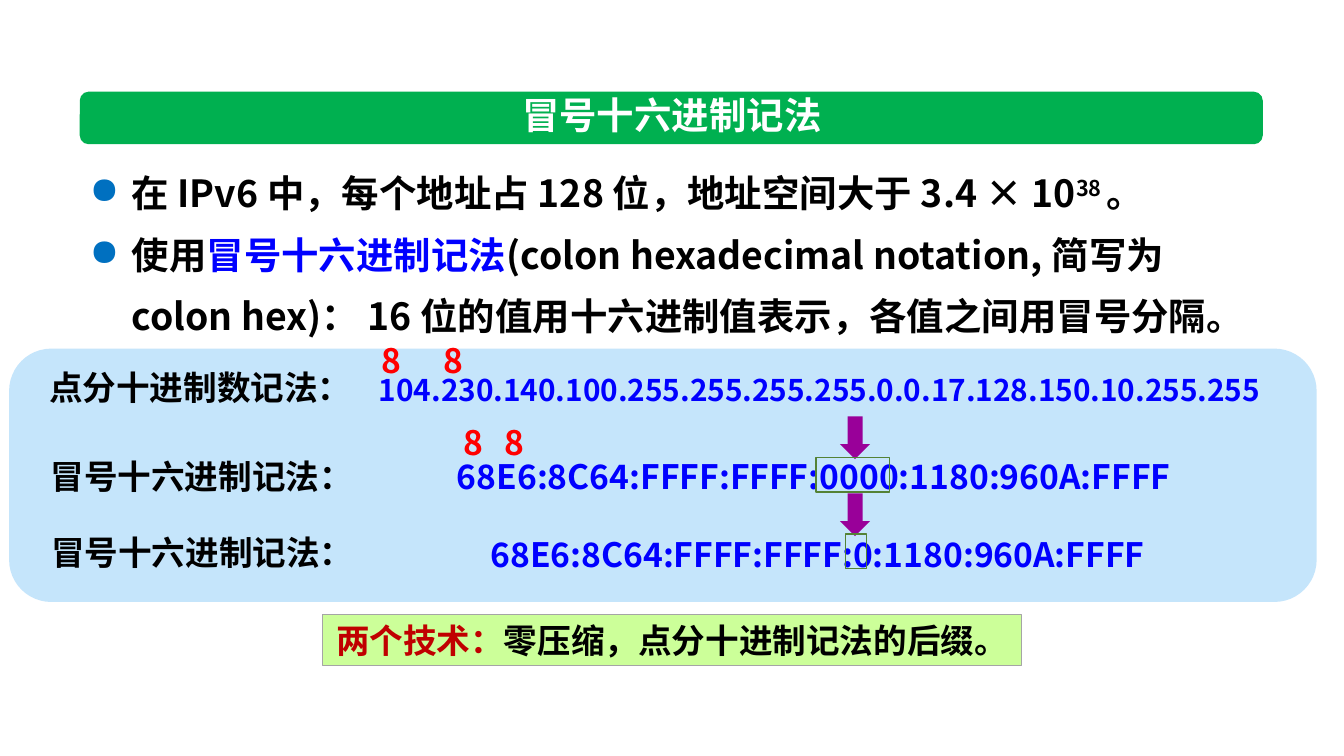
from lxml import etree
from pptx import Presentation
from pptx.dml.color import RGBColor
from pptx.enum.shapes import MSO_SHAPE
from pptx.enum.text import MSO_ANCHOR, PP_ALIGN
from pptx.oxml.ns import qn
from pptx.util import Pt

LEFT, CENTER = PP_ALIGN.LEFT, PP_ALIGN.CENTER
MIDDLE = MSO_ANCHOR.MIDDLE
ROUNDED, RECTANGLE = MSO_SHAPE.ROUNDED_RECTANGLE, MSO_SHAPE.RECTANGLE
DOWN_ARROW = MSO_SHAPE.DOWN_ARROW
FONT = "Noto Sans CJK SC"
COLORS = {
    "black": "000000", "white": "FFFFFF", "blue": "0000FF", "red": "FF0000",
    "dark red": "C00000", "bullet": "0070C0", "bar": "00B050", "panel": "C5E5FB",
    "arrow": "990099", "frame": "548235", "note": "CCFF99", "note edge": "A5A5A5",
}


def add_shape(kind, place, fill=None, line=None, width=1):
    shape = page.shapes.add_shape(kind, *map(Pt, place))
    shape.shadow.inherit = False
    if fill:
        shape.fill.solid()
        shape.fill.fore_color.rgb = RGBColor.from_string(COLORS[fill])
    else:
        shape.fill.background()
    if line:
        shape.line.color.rgb = RGBColor.from_string(COLORS[line])
        shape.line.width = Pt(width)
    else:
        shape.line.fill.background()
    return shape


def write(para, parts, size, align=LEFT):
    para.alignment = align
    for words, color in parts:
        span = para.add_run()
        span.text = words
        span.font.size = Pt(size)
        span.font.bold = True
        span.font.name = FONT
        span.font.color.rgb = RGBColor.from_string(COLORS[color])
        etree.SubElement(span.font._element, qn("a:ea"), typeface=FONT)


deck = Presentation()
deck.slide_width, deck.slide_height = Pt(960), Pt(540)
page = deck.slides.add_slide(deck.slide_layouts[5])

# Panel behind the three notations
add_shape(ROUNDED, (6.5, 249, 934, 181), "panel")

# Title on its green bar
bar = add_shape(ROUNDED, (57, 65.5, 845, 37.5), "bar")
title = page.shapes.title
title.left, title.top, title.width, title.height = map(Pt, (204, 62, 552, 39.5))
title.text_frame.vertical_anchor = MIDDLE
write(title.text_frame.paragraphs[0], [("冒号十六进制记法", "white")], 26.7, CENTER)
bar._element.addnext(title._element)

# Bulleted explanation
points = [
    [("在 IPv6 中，每个地址占 128 位，地址空间大于 3.4 × 10", "black"),
     ("38 ", "black"), ("。", "black")],
    [("使用", "black"), ("冒号十六进制记法", "blue"),
     ("(colon hexadecimal notation, 简写为 colon hex)： "
      "16 位的值用十六进制值表示，各值之间用冒号分隔。", "black")],
]
body = page.shapes.add_textbox(*map(Pt, (57, 106, 845, 136))).text_frame
body.word_wrap = True
for number, parts in enumerate(points):
    para = body.add_paragraph() if number else body.paragraphs[0]
    para.line_spacing = Pt(44)
    settings = para._p.get_or_add_pPr()
    settings.set("marL", str(Pt(30)))
    settings.set("indent", str(-Pt(30)))
    bullet_color = etree.SubElement(settings, qn("a:buClr"))
    etree.SubElement(bullet_color, qn("a:srgbClr"), val=COLORS["bullet"])
    etree.SubElement(settings, qn("a:buChar"), char="●")
    write(para, parts, 26.7)
exponent = body.paragraphs[0].runs[1]
exponent.font._element.set("baseline", "30000")

# Notation labels, addresses and digit counts: words, place, size, colour, align, wrap
texts = [
    ("点分十进制数记法：", (28, 258.5, 232.5, 36), 24, "black", LEFT, False),
    ("冒号十六进制记法：", (29, 322, 232.5, 36), 24, "black", LEFT, False),
    ("冒号十六进制记法：", (29.5, 376.5, 232.5, 36), 24, "black", LEFT, False),
    ("104.230.140.100.255.255.255.255.0.0.17.128.150.10.255.255",
     (238.5, 262, 694, 33), 21.3, "blue", CENTER, True),
    ("68E6:8C64:FFFF:FFFF:0000:1180:960A:FFFF",
     (306.5, 322, 549.5, 36), 24, "blue", CENTER, True),
    ("68E6:8C64:FFFF:FFFF:0:1180:960A:FFFF",
     (335, 378, 498, 36), 24, "blue", CENTER, True),
]
for left, top in [(265.5, 239), (309.5, 239), (324, 298), (353, 298)]:
    texts.append(("8", (left, top, 34.5, 36), 24, "red", LEFT, True))
for words, place, size, color, align, wrap in texts:
    frame = page.shapes.add_textbox(*map(Pt, place)).text_frame
    frame.word_wrap = wrap
    write(frame.paragraphs[0], [(words, color)], size, align)

# Arrows and frames around the compressed zeros
for top in (297.5, 352.5):
    add_shape(DOWN_ARROW, (600, top, 21.6, 30.5), "arrow")
for place in [(583, 327, 52.5, 24.5), (604, 381.5, 15, 24.5)]:
    add_shape(RECTANGLE, place, line="frame")

# Closing note
note = add_shape(RECTANGLE, (230.5, 439, 499, 36), "note", "note edge", 0.5).text_frame
note.word_wrap = False
note.vertical_anchor = MIDDLE
write(note.paragraphs[0], [("两个技术：", "dark red"),
                           ("零压缩，点分十进制记法的后缀。", "black")], 24, CENTER)

deck.save("out.pptx")
